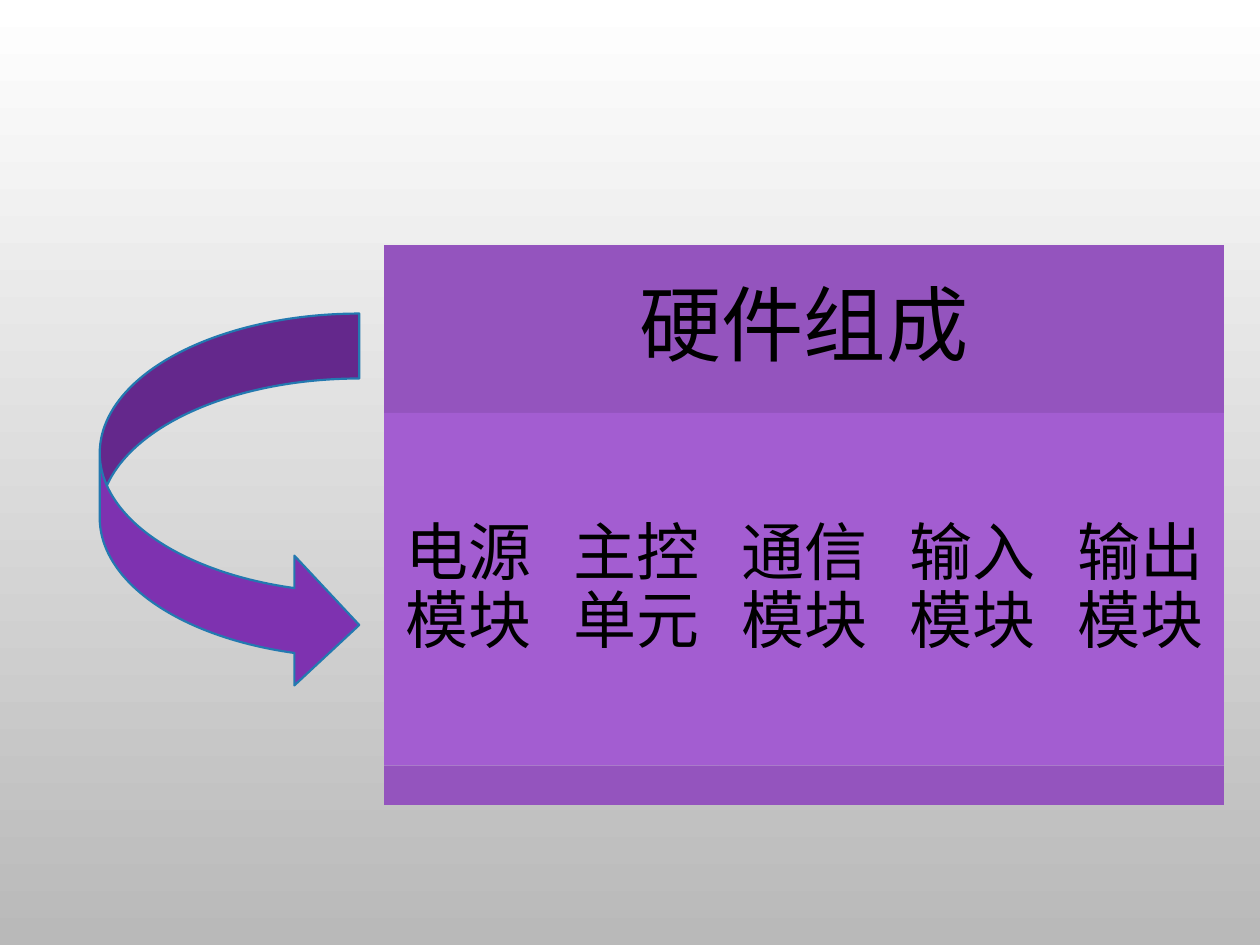
import pptx
import pptx.dml.color
import pptx.enum.shapes
import pptx.enum.text
import pptx.util

Pt = pptx.util.Pt
SHAPES = pptx.enum.shapes.MSO_SHAPE

MODULES = ["电源模块", "主控单元", "通信模块", "输入模块", "输出模块"]
PANEL_LEFT, PANEL_TOP, PANEL_WIDTH = 219.43, 140, 480
HEADER_HEIGHT, MODULE_HEIGHT, FOOTER_HEIGHT = 96, 201.6, 22.4
DARK_PURPLE, LIGHT_PURPLE, ARROW_PURPLE = "9454BE", "A35DD1", "7E32B0"


def color(hex_value):
    return pptx.dml.color.RGBColor.from_string(hex_value)


def set_background(slide, top_color, bottom_color):
    fill = slide.background.fill
    fill.gradient()
    fill.gradient_angle = 270
    for stop, hex_value in zip(fill.gradient_stops, (top_color, bottom_color)):
        stop.color.rgb = color(hex_value)


def add_filled_shape(slide, kind, left, top, width, height, fill):
    shape = slide.shapes.add_shape(kind, Pt(left), Pt(top), Pt(width), Pt(height))
    shape.shadow.inherit = False
    shape.fill.solid()
    shape.fill.fore_color.rgb = color(fill)
    shape.line.fill.background()
    return shape


def set_text(shape, text, size, margin):
    frame = shape.text_frame
    frame.text = text
    frame.word_wrap = True
    frame.vertical_anchor = pptx.enum.text.MSO_ANCHOR.MIDDLE
    frame.margin_left = frame.margin_right = Pt(margin)
    frame.margin_top = frame.margin_bottom = Pt(margin)
    paragraph = frame.paragraphs[0]
    paragraph.alignment = pptx.enum.text.PP_ALIGN.CENTER
    paragraph.line_spacing = 0.9
    font = paragraph.runs[0].font
    font.name = "Cabin"
    font.size = Pt(size)
    font.color.rgb = color("000000")


def add_hardware_panel(slide):
    # Header band
    header = add_filled_shape(slide, SHAPES.RECTANGLE, PANEL_LEFT, PANEL_TOP,
                              PANEL_WIDTH, HEADER_HEIGHT, DARK_PURPLE)
    set_text(header, "硬件组成", 47, 14.4)

    # Equal module columns
    module_top = PANEL_TOP + HEADER_HEIGHT
    module_width = PANEL_WIDTH / len(MODULES)
    for index, name in enumerate(MODULES):
        module = add_filled_shape(slide, SHAPES.RECTANGLE,
                                  PANEL_LEFT + index * module_width, module_top,
                                  module_width, MODULE_HEIGHT, LIGHT_PURPLE)
        set_text(module, name, 36, 10.8)

    # Footer band
    add_filled_shape(slide, SHAPES.RECTANGLE, PANEL_LEFT, module_top + MODULE_HEIGHT,
                     PANEL_WIDTH, FOOTER_HEIGHT, DARK_PURPLE)


def add_curved_arrow(slide):
    arrow = add_filled_shape(slide, SHAPES.CURVED_RIGHT_ARROW,
                             57, 179.2, 148.3, 215, ARROW_PURPLE)
    arrow.line.color.rgb = color("2379B0")
    arrow.line.width = Pt(1.25)


def main():
    presentation = pptx.Presentation()
    presentation.slide_width, presentation.slide_height = Pt(720), Pt(540)
    slide = presentation.slides.add_slide(presentation.slide_layouts[6])
    set_background(slide, "FFFFFF", "B9B9B9")
    add_hardware_panel(slide)
    add_curved_arrow(slide)
    presentation.save("out.pptx")


if __name__ == "__main__":
    main()
